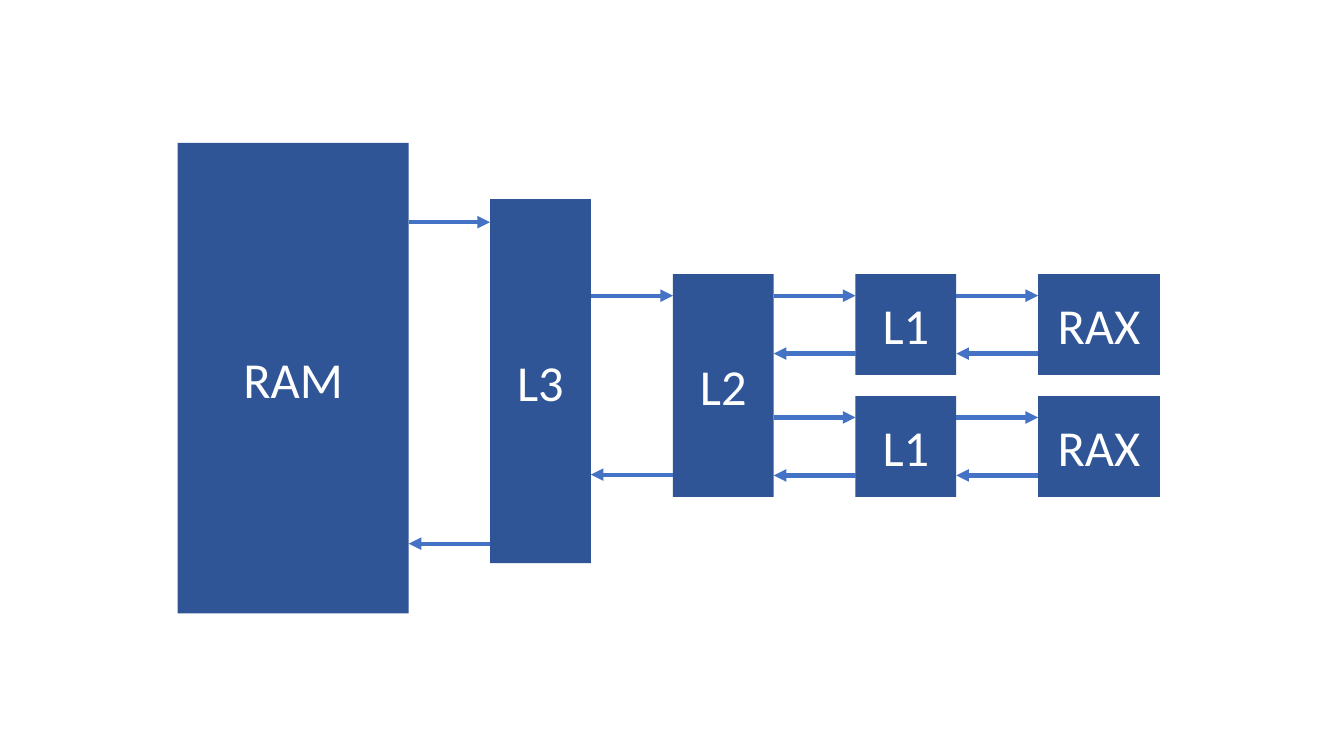
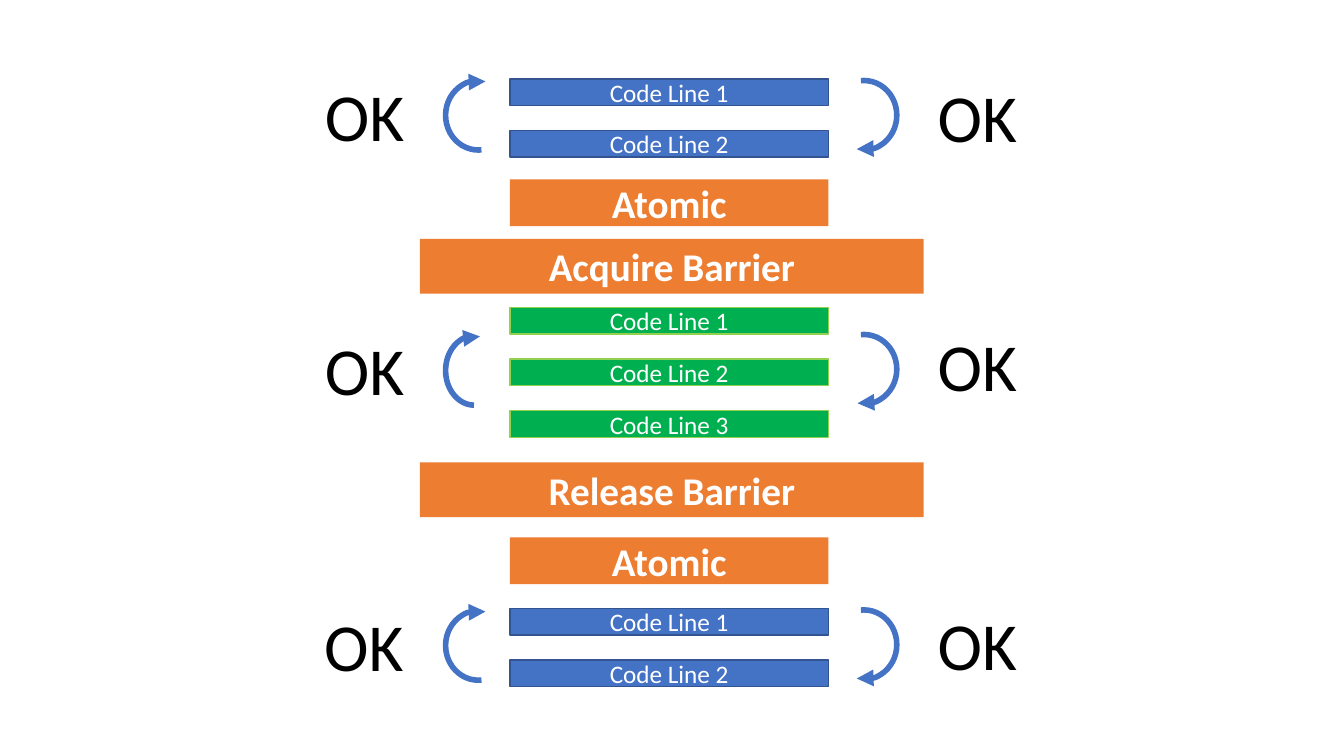
from lxml.etree import SubElement
from pptx import Presentation
from pptx.dml.color import RGBColor
from pptx.enum.shapes import MSO_CONNECTOR as LINK, MSO_SHAPE as SHAPE
from pptx.enum.text import MSO_ANCHOR as ANCHOR, MSO_AUTO_SIZE as FIT, PP_ALIGN as ALIGN
from pptx.oxml.ns import qn
from pptx.util import Cm, Pt

BLUE, NAVY, DARK_BLUE = "4472C4", "2F5597", "325491"
ORANGE, GREEN, LIME = "ED7D31", "00B050", "92D050"
WHITE, BLACK, FONT = "FFFFFF", "000000", "Calibri"
rgb = RGBColor.from_string


def add_box(page, text, left, top, width, height, fill, size, bold=False, edge=None):
    box = page.shapes.add_shape(SHAPE.RECTANGLE, Cm(left), Cm(top), Cm(width), Cm(height))
    box.shadow.inherit = False
    box.fill.solid()
    box.fill.fore_color.rgb = rgb(fill)
    if edge:
        box.line.color.rgb = rgb(edge)
        box.line.width = Pt(1)
    else:
        box.line.fill.background()
    box.text_frame.vertical_anchor = ANCHOR.MIDDLE
    para = box.text_frame.paragraphs[0]
    para.alignment = ALIGN.CENTER
    span = para.add_run()
    span.text = text
    span.font.name, span.font.size, span.font.bold = FONT, Pt(size), bold
    span.font.color.rgb = rgb(WHITE)


def style_arrow(arrow, width):
    arrow.line.color.rgb = rgb(BLUE)
    arrow.line.width = Pt(width)
    properties = arrow._element.spPr
    SubElement(properties.find(qn("a:ln")), qn("a:tailEnd"), type="triangle")
    SubElement(properties, qn("a:effectLst"))


deck = Presentation()
deck.slide_width, deck.slide_height = Cm(33.87), Cm(19.05)
blank = deck.slide_layouts[6]

page = deck.slides.add_slide(blank)
memories = [
    ("RAM", 4.48, 3.6, 5.82, 11.86),
    ("L3", 12.35, 5.02, 2.54, 9.17),
    ("L2", 16.96, 6.91, 2.54, 5.61),
]
transfers = [(10.3, 12.35, 5.6, 13.7), (14.89, 16.96, 7.45, 11.96)]
for core in range(2):
    shift = core * 3.07
    memories += [
        ("L1", 21.56, 6.91 + shift, 2.54, 2.54),
        ("RAX", 26.16, 6.91 + shift, 3.07, 2.54),
    ]
    for start, end in [(19.5, 21.56), (24.1, 26.16)]:
        transfers.append((start, end, 7.45 + shift, 8.91 + shift))

for name, left, top, width, height in memories:
    add_box(page, name, left, top, width, height, NAVY, 36)

for start, end, load_y, store_y in transfers:
    for begin_x, end_x, y in [(start, end, load_y), (end, start, store_y)]:
        arrow = page.shapes.add_connector(LINK.STRAIGHT, Cm(begin_x), Cm(y), Cm(end_x), Cm(y))
        style_arrow(arrow, 3)

page = deck.slides.add_slide(blank)
code_groups = [
    (1.99, 2, BLUE, DARK_BLUE),
    (7.75, 3, GREEN, LIME),
    (15.33, 2, BLUE, DARK_BLUE),
]
for first_top, count, fill, edge in code_groups:
    for index in range(count):
        top = first_top + index * 1.3
        add_box(page, f"Code Line {index + 1}", 12.85, top, 8.03, 0.67, fill, 18, edge=edge)

for top in (4.52, 13.54):
    add_box(page, "Atomic", 12.85, top, 8.03, 1.18, ORANGE, 28, bold=True)
for text, top in [("Acquire Barrier", 6.02), ("Release Barrier", 11.65)]:
    add_box(page, text, 10.58, top, 12.7, 1.38, ORANGE, 28, bold=True)

swaps = [
    (11.18, 2.08, 1.65, 270, 104.88, 7.12),
    (11.08, 8.61, 1.45, 270, 108.35, 5.56),
    (11.18, 15.44, 1.65, 270, 104.88, 7.12),
    (20.9, 2.08, 1.65, 90, 104.88, 7.28),
    (20.9, 8.48, 1.65, 90, 104.88, 6.45),
    (20.9, 15.42, 1.65, 90, 104.88, 7.28),
]
for left, top, height, rotation, start_angle, end_angle in swaps:
    arc = page.shapes.add_shape(SHAPE.ARC, Cm(left), Cm(top), Cm(1.75), Cm(height))
    arc.rotation = rotation
    arc.adjustments[0], arc.adjustments[1] = start_angle, end_angle
    arc.fill.background()
    style_arrow(arc, 4)

verdicts = [(7.94, 1.75), (7.94, 8.15), (7.92, 15.11), (23.38, 1.78), (23.38, 8.04), (23.38, 15.09)]
for left, top in verdicts:
    box = page.shapes.add_textbox(Cm(left), Cm(top), Cm(2.54), Cm(2.31))
    frame = box.text_frame
    frame.word_wrap = False
    frame.auto_size = FIT.SHAPE_TO_FIT_TEXT
    span = frame.paragraphs[0].add_run()
    span.text = "OK"
    span.font.name, span.font.size = FONT, Pt(48)
    span.font.color.rgb = rgb(BLACK)

deck.save("out.pptx")
